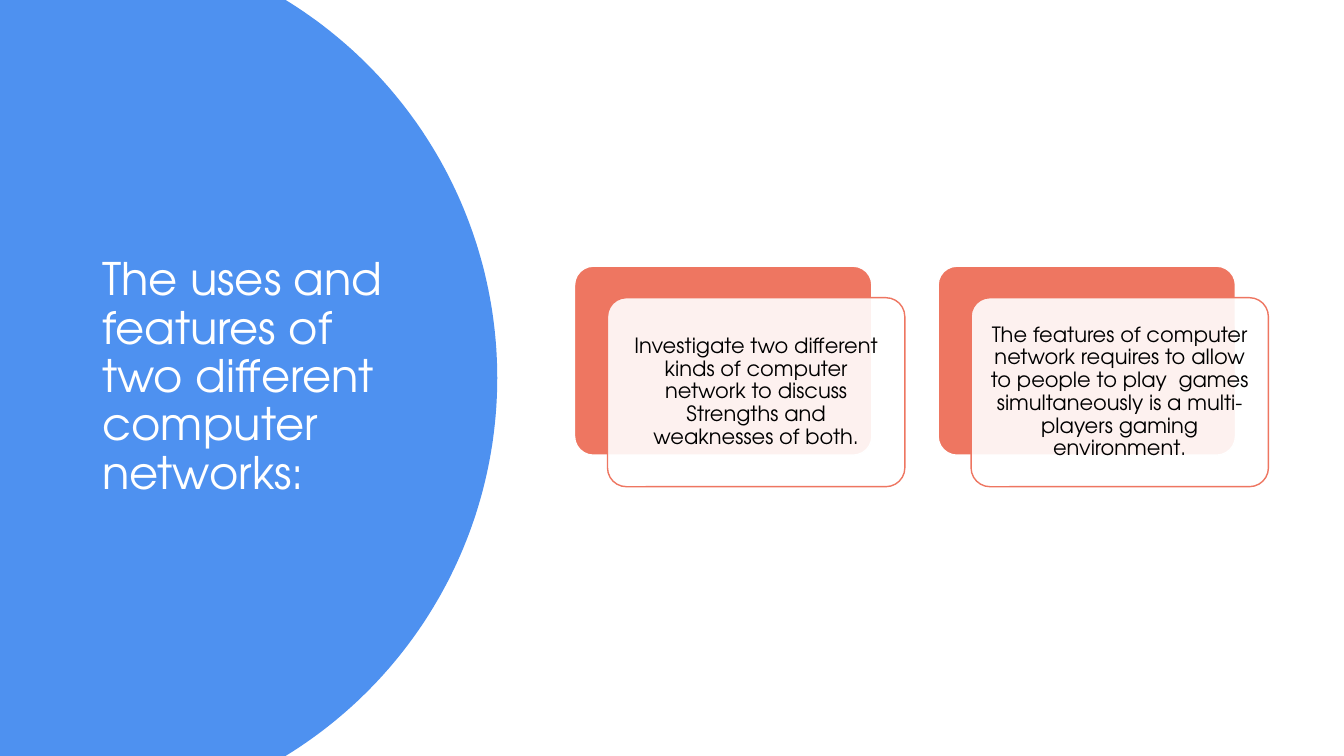
from dataclasses import dataclass
from math import asin, cos, sin

from lxml.etree import SubElement
from pptx import Presentation
from pptx.dml.color import RGBColor
from pptx.enum.shapes import MSO_SHAPE as Shape
from pptx.enum.text import MSO_ANCHOR as Anchor, PP_ALIGN as Align
from pptx.oxml.ns import qn
from pptx.util import Inches, Pt

WIDTH, HEIGHT = Inches(13.33), Inches(7.5)
COLS, ROWS = 40, 24
FONT = "TeX Gyre Adventor"
BLUE, CORAL, WHITE, BLACK = "4E91F0", "EE7661", "FFFFFF", "000000"


@dataclass
class Box:
    col: float
    row: float
    cols: float
    rows: float

    def shifted(self, cols: float, rows: float) -> "Box":
        return Box(self.col + cols, self.row + rows, self.cols, self.rows)

    def emu(self) -> tuple:
        return x(self.col), y(self.row), x(self.cols), y(self.rows)


@dataclass
class Card:
    box: Box
    text: str


def x(cols: float) -> int:
    return round(WIDTH * cols / COLS)


def y(rows: float) -> int:
    return round(HEIGHT * rows / ROWS)


def rgb(color: str) -> RGBColor:
    return RGBColor.from_string(color)


def paint(sp, fill: str, line: str = "", alpha: int = 100) -> None:
    sp.shadow.inherit = False
    sp.fill.solid()
    sp.fill.fore_color.rgb = rgb(fill)
    if alpha < 100:
        clr = sp.fill._xPr.find(qn("a:solidFill"))[0]
        SubElement(clr, qn("a:alpha"), val=str(alpha * 1000))
    if line:
        sp.line.color.rgb = rgb(line)
        sp.line.width = Pt(1)
    else:
        sp.line.fill.background()


def write(sp, text: str, size: int, color: str, align: Align, inset: tuple) -> None:
    tf = sp.text_frame
    tf.text = text
    tf.word_wrap = True
    tf.vertical_anchor = Anchor.MIDDLE
    tf.margin_left = tf.margin_right = Inches(inset[0])
    tf.margin_top = tf.margin_bottom = Inches(inset[1])
    p = tf.paragraphs[0]
    p.alignment = align
    p.line_spacing = 0.9
    r = p.runs[0]
    r.font.name = FONT
    r.font.size = Pt(size)
    r.font.color.rgb = rgb(color)


def draw_dome(s, center_col: float, radius_cols: float, steps: int = 120) -> None:
    cx, cy, radius = x(center_col), HEIGHT / 2, x(radius_cols)
    limit = asin(cy / radius)
    angles = [limit * (2 * i / steps - 1) for i in range(steps + 1)]
    arc = [(round(cx + radius * cos(a)), round(cy + radius * sin(a))) for a in angles]
    outline = s.shapes.build_freeform(0, 0)
    outline.add_line_segments(arc + [(0, HEIGHT)], close=True)
    paint(outline.convert_to_shape(), BLUE)


def add_panel(s, box: Box, fill: str, line: str, alpha: int = 100):
    sp = s.shapes.add_shape(Shape.ROUNDED_RECTANGLE, *box.emu())
    sp.adjustments[0] = 0.1
    paint(sp, fill, line, alpha)
    return sp


def draw_card(s, card: Card) -> None:
    add_panel(s, card.box, CORAL, WHITE)
    front = add_panel(s, card.box.shifted(0.98, 1), WHITE, CORAL, 90)
    write(front, card.text, 15, BLACK, Align.CENTER, (0.11, 0.11))


def main() -> None:
    prs = Presentation()
    prs.slide_width, prs.slide_height = WIDTH, HEIGHT
    s = prs.slides.add_slide(prs.slide_layouts[6])

    draw_dome(s, center_col=1.6, radius_cols=13.2)
    title = s.shapes.add_textbox(*Box(2.75, 2.25, 9.7, 19.5).emu())
    write(title, "The uses and features of two different computer networks:",
          32, WHITE, Align.LEFT, (0.1, 0.05))

    first = Box(17.1, 8.45, 8.85, 6)
    cards = [
        Card(first, "Investigate two different kinds of computer network "
                    "to discuss Strengths and weaknesses of both."),
        Card(first.shifted(10.82, 0),
             "The features of computer network requires to allow to people to play  games "
             "simultaneously is a multi-players gaming environment."),
    ]
    for card in cards:
        draw_card(s, card)

    prs.save("out.pptx")


if __name__ == "__main__":
    main()
